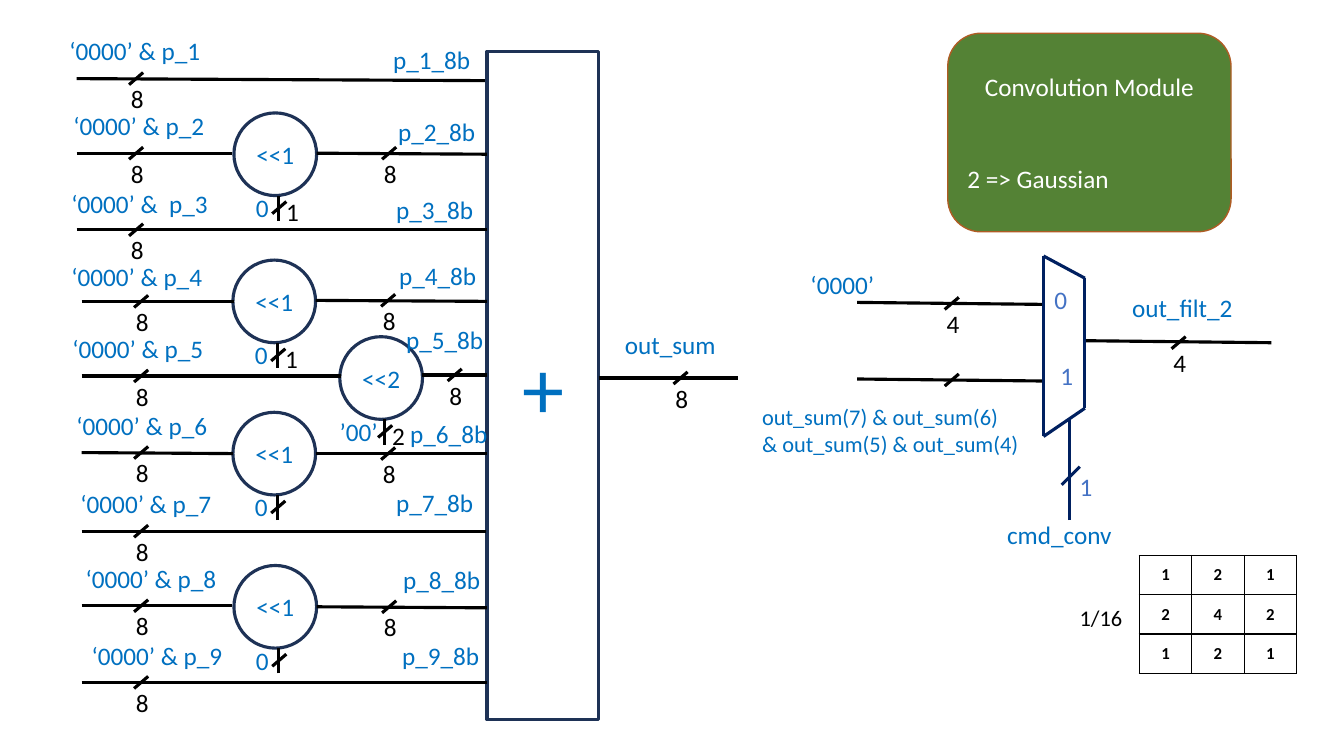
"""Build a slide showing the datapath of a Gaussian convolution module."""
import pptx
import pptx.dml.color
import pptx.enum.shapes
import pptx.enum.text
import pptx.util
from pptx.oxml import parse_xml
from pptx.oxml.ns import nsdecls

PX = 9144
BLACK = pptx.dml.color.RGBColor(0x00, 0x00, 0x00)
WHITE = pptx.dml.color.RGBColor(0xFF, 0xFF, 0xFF)
BLUE = pptx.dml.color.RGBColor(0x00, 0x70, 0xC0)
MUX_TEXT = pptx.dml.color.RGBColor(0x44, 0x72, 0xC4)
MUX_LINE = pptx.dml.color.RGBColor(0x00, 0x20, 0x60)
OUTLINE = pptx.dml.color.RGBColor(0x1E, 0x32, 0x56)
GREEN = pptx.dml.color.RGBColor(0x54, 0x82, 0x35)
BROWN = pptx.dml.color.RGBColor(0xAF, 0x5C, 0x24)
SHAPES = pptx.enum.shapes.MSO_SHAPE
LEFT = pptx.enum.text.PP_ALIGN.LEFT
CENTER = pptx.enum.text.PP_ALIGN.CENTER
MIDDLE = pptx.enum.text.MSO_ANCHOR.MIDDLE

presentation = pptx.Presentation()
presentation.slide_width = 1333 * PX
presentation.slide_height = 750 * PX
slide = presentation.slides.add_slide(presentation.slide_layouts[6])


def add_line(x1, y1, x2, y2, color=BLACK):
    connector = slide.shapes.add_connector(
        pptx.enum.shapes.MSO_CONNECTOR.STRAIGHT, x1 * PX, y1 * PX, x2 * PX, y2 * PX)
    connector.line.color.rgb = color
    connector.line.width = pptx.util.Pt(2.25)
    connector._element.spPr.append(parse_xml(f"<a:effectLst {nsdecls('a')}/>"))


def write_text(frame, lines, size, color, alignment, bold=False):
    for index, line in enumerate(lines):
        paragraph = frame.add_paragraph() if index else frame.paragraphs[0]
        paragraph.alignment = alignment
        run = paragraph.add_run()
        run.text = line
        run.font.name = "Calibri"
        run.font.size = pptx.util.Pt(size)
        run.font.bold = bold
        run.font.color.rgb = color


input_rows = [
    ("‘0000’ & p_1", 59, 30, 163, (76, 78, 481, 80), 380, 39),
    ("‘0000’ & p_2", 63, 105, 155, (76, 152, 230, 152), 385, 110),
    ("‘0000’ &  p_3", 61, 182, 156, (76, 228, 483, 228), 383, 188),
    ("‘0000’ & p_4", 61, 254, 156, (81, 299, 232, 299), 386, 253),
    ("‘0000’ & p_5", 62, 326, 156, (81, 373, 338, 373), 393, 317),
    ("‘0000’ & p_6", 66, 402, 153, (81, 449, 231, 450), 397, 410),
    ("‘0000’ & p_7", 70, 480, 160, (81, 527, 482, 527), 383, 479),
    ("‘0000’ & p_8", 75, 554, 157, (81, 601, 230, 601), 390, 555),
    ("‘0000’ & p_9", 81, 630, 157, (81, 677, 483, 677), 389, 630),
]
shifters = [
    ("<<1", 232, 112, "0", 12, 36, "1", (152, 153), 386),
    ("<<1", 231, 258, "0", 12, 36, "1", (298, 299), 385),
    ("<<2", 337, 334, "’00’", -10, 58, "2", (372, 372), 451),
    ("<<1", 231, 409, "0", 12, 36, "", (450, 450), 385),
    ("<<1", 232, 561, "0", 12, 36, "", (602, 603), 386),
]
blocks = [(SHAPES.OVAL, text, x, y, 82, 82, 18) for text, x, y, *_ in shifters]
blocks.append((SHAPES.RECTANGLE, "+", 483, 51, 111, 663, 60))

labels = [
    (["out_sum"], 610, 322, 147, 18, BLUE, LEFT),
    (["out_sum(7) & out_sum(6)", "& out_sum(5) & out_sum(4)"], 746, 395, 275, 16, BLUE, LEFT),
    (["‘0000’"], 794, 262, 92, 18, BLUE, LEFT),
    (["out_filt_2"], 1113, 285, 147, 18, BLUE, LEFT),
    (["cmd_conv"], 989, 510, 147, 18, BLUE, LEFT),
    (["0"], 1034, 277, 36, 18, MUX_TEXT, CENTER),
    (["1"], 1038, 353, 40, 18, MUX_TEXT, CENTER),
    (["1"], 1053, 463, 48, 18, MUX_TEXT, CENTER),
    (["1/16"], 1061, 594, 63, 16, BLACK, LEFT),
]
bus_marks = [("8", 675, 375), ("4", 1169, 340), ("4", 944, 301), ("", 944, 377)]
wires = [(594, 375, 732, 375), (1076, 338, 1261, 340),
         (850, 300, 1035, 302), (850, 376, 1035, 378)]

for number, (text, x, y, width, wire, sum_x, sum_y) in enumerate(input_rows, 1):
    labels.append(([text], x, y, width, 18, BLUE, LEFT))
    labels.append(([f"p_{number}_8b"], sum_x, sum_y, 112, 18, BLUE, LEFT))
    wires.append(wire)
    bus_marks.append(("8", wire[0] + 59, wire[1]))

for _, x, y, fill_bits, fill_shift, fill_width, bit_count, (start_y, end_y), mark_x in shifters:
    wires.append((x + 44, y + 107, x + 44, y + 82))
    wires.append((x + 82, start_y, 483, end_y))
    bus_marks.append(("8", mark_x, start_y))
    bus_marks.append(("", x + 45, y + 94))
    labels.append(([fill_bits], x + fill_shift, y + 74, fill_width, 18, BLUE, LEFT))
    if bit_count:
        labels.append(([bit_count], x + 42, y + 78, 33, 18, BLACK, LEFT))

for preset, text, x, y, width, height, size in blocks:
    block = slide.shapes.add_shape(preset, x * PX, y * PX, width * PX, height * PX)
    block.shadow.inherit = False
    block.fill.background()
    block.line.color.rgb = OUTLINE
    block.line.width = pptx.util.Pt(2.25)
    block.text_frame.vertical_anchor = MIDDLE
    write_text(block.text_frame, [text], size, BLUE, CENTER)

for wire in wires:
    add_line(*wire)
for digit, x, y in bus_marks:
    add_line(x - 7, y + 6, x + 7, y - 6)
    if digit:
        labels.append(([digit], x - 15, y, 33, 18, BLACK, LEFT))

mux_corners = [(1035, 254), (1076, 276), (1076, 405), (1035, 433)]
for start, end in zip(mux_corners, mux_corners[1:] + mux_corners[:1]):
    add_line(*start, *end, MUX_LINE)
add_line(1061, 516, 1061, 416, MUX_LINE)
add_line(1053, 481, 1071, 463, MUX_LINE)

for lines, x, y, width, size, color, alignment in labels:
    height = 64 if len(lines) > 1 else 40 if size == 18 else 37
    label = slide.shapes.add_textbox(x * PX, y * PX, width * PX, height * PX)
    label.text_frame.word_wrap = color != BLACK
    label.text_frame.auto_size = pptx.enum.text.MSO_AUTO_SIZE.SHAPE_TO_FIT_TEXT
    write_text(label.text_frame, lines, size, color, alignment)

card = slide.shapes.add_shape(SHAPES.ROUNDED_RECTANGLE, 940 * PX, 33 * PX, 281 * PX, 197 * PX)
card.shadow.inherit = False
card.fill.solid()
card.fill.fore_color.rgb = GREEN
card.line.color.rgb = BROWN
card.line.width = pptx.util.Pt(1)
card.text_frame.vertical_anchor = MIDDLE
write_text(card.text_frame, ["Convolution Module", "2 => Gaussian"], 18, WHITE, CENTER)
kernel_note = card.text_frame.paragraphs[1]
kernel_note.alignment = LEFT
kernel_note.space_before = pptx.util.Pt(44)

kernel = [(1, 2, 1), (2, 4, 2), (1, 2, 1)]
table = slide.shapes.add_table(3, 3, 1130 * PX, 551 * PX, 157 * PX, 118 * PX).table
table.first_row = False
table.horz_banding = False
for row_index, weights in enumerate(kernel):
    table.rows[row_index].height = 39 * PX
    table.columns[row_index].width = 52 * PX
    for column_index, weight in enumerate(weights):
        cell = table.cell(row_index, column_index)
        cell.vertical_anchor = MIDDLE
        cell.margin_left = cell.margin_right = 7 * PX
        cell.margin_top = cell.margin_bottom = 3 * PX
        write_text(cell.text_frame, [str(weight)], 12, BLACK, CENTER, bold=True)
        properties = cell._tc.get_or_add_tcPr()
        for side in "LRTB":
            properties.append(parse_xml(
                f'<a:ln{side} {nsdecls("a")} w="12700"><a:solidFill>'
                f'<a:srgbClr val="{BLACK}"/></a:solidFill></a:ln{side}>'))
        cell.fill.background()

presentation.save("out.pptx")
